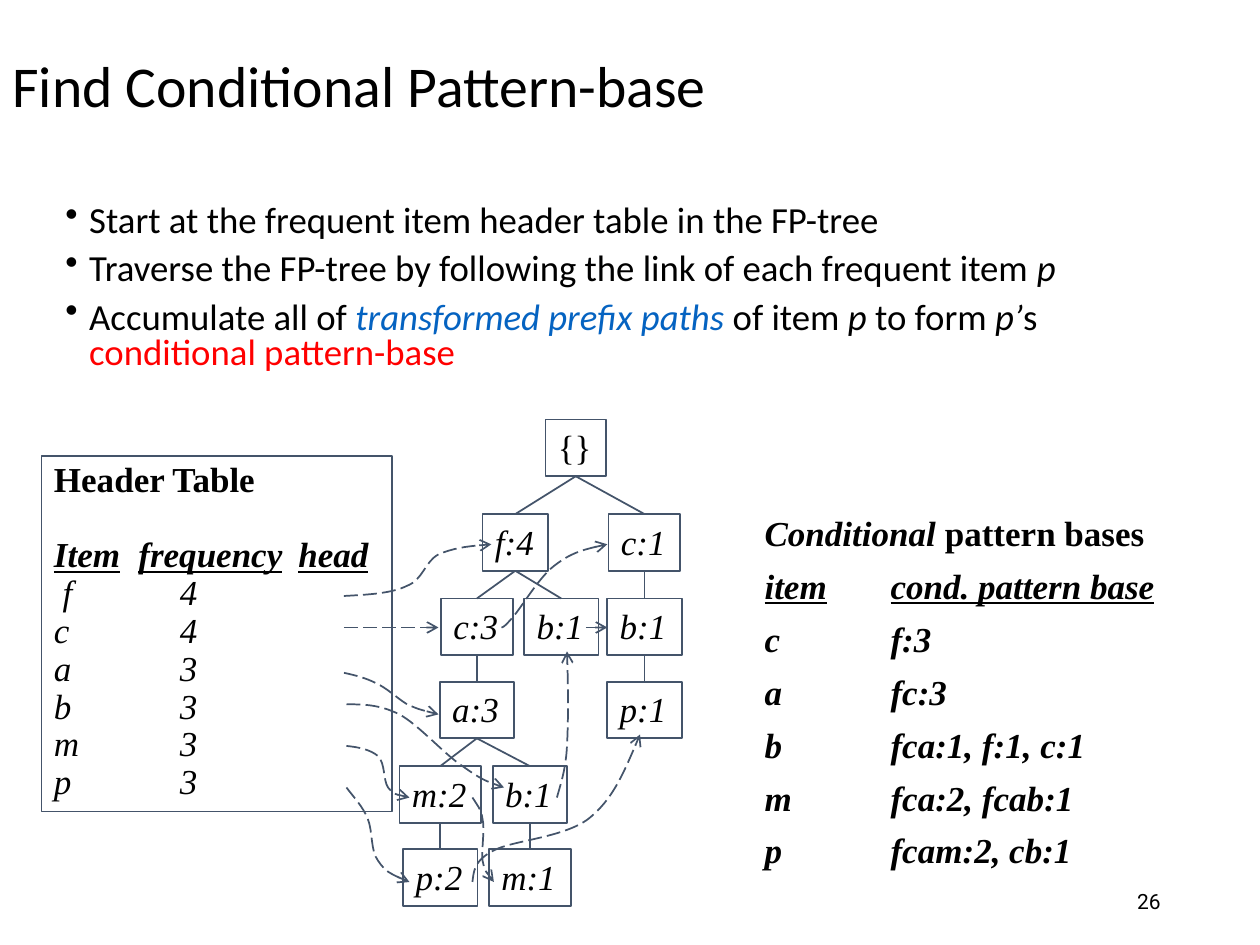
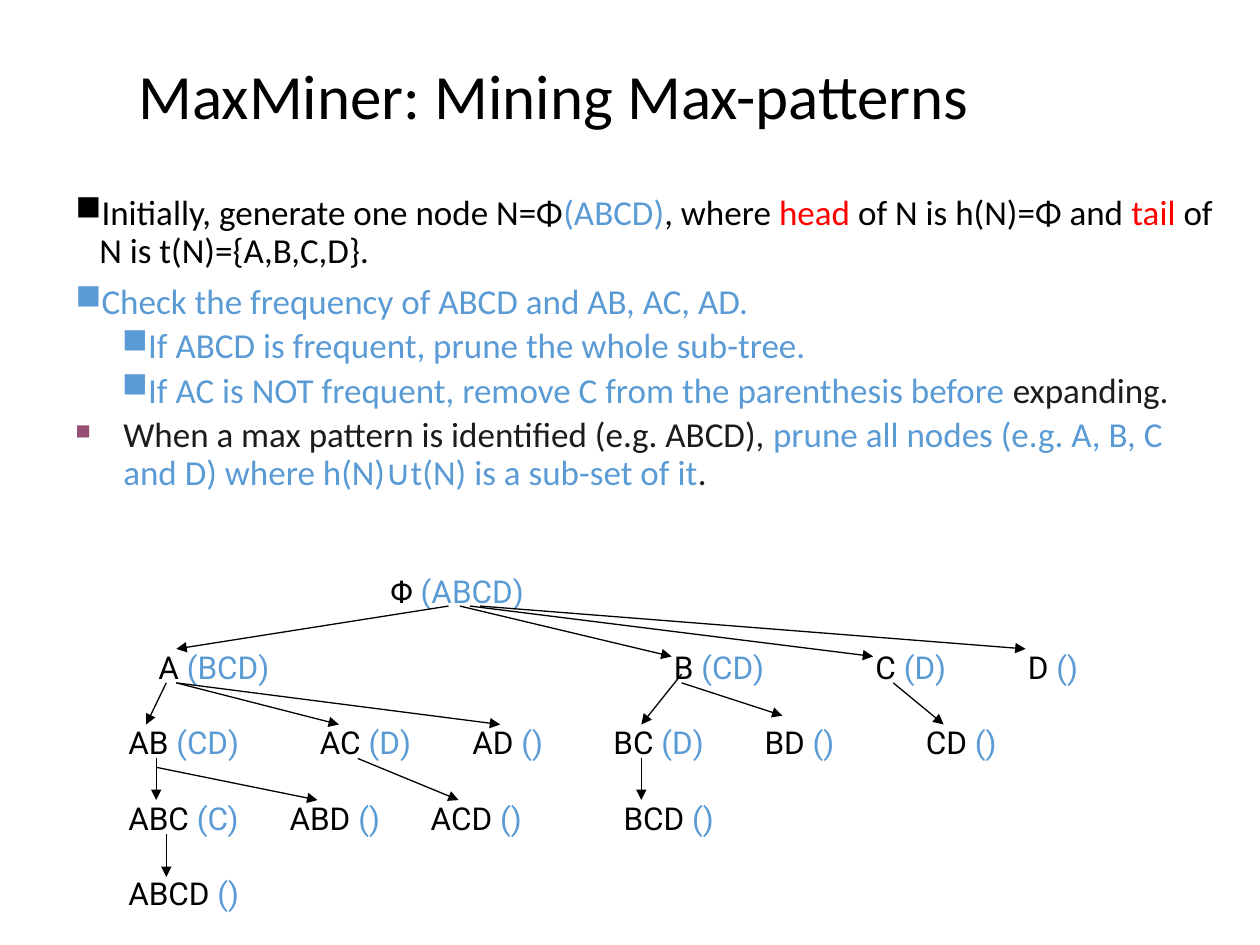
"""Build two slides on pattern mining: an FP-tree and a MaxMiner tree."""
from dataclasses import dataclass
from typing import Optional

from pptx import Presentation
from pptx.dml.color import RGBColor
from pptx.enum.dml import MSO_LINE
from pptx.enum.shapes import MSO_CONNECTOR, MSO_SHAPE
from pptx.enum.text import MSO_ANCHOR, PP_ALIGN
from pptx.oxml.ns import qn
from pptx.oxml.xmlchemy import OxmlElement
from pptx.util import Cm, Pt

BLACK = RGBColor(0x00, 0x00, 0x00)
CHAR = RGBColor(0x1C, 0x1C, 0x1C)
SLATE = RGBColor(0x44, 0x54, 0x6A)
BLUE = RGBColor(0x05, 0x63, 0xC1)
SKY = RGBColor(0x5B, 0x9B, 0xD5)
RED = RGBColor(0xFF, 0x00, 0x00)
PLUM = RGBColor(0x95, 0x4F, 0x72)
SANS, SERIF, LABEL = "Calibri", "Times New Roman", "Roboto"


@dataclass
class Bit:
    text: str
    tint: RGBColor = BLACK
    style: str = ""


@dataclass
class Para:
    bits: list[Bit]
    lead: float = 1.0
    before: float = 0
    mark: str = ""
    left: float = 0.19
    hang: float = 0.19
    hue: Optional[RGBColor] = None
    tabs: tuple = ()
    align: PP_ALIGN = PP_ALIGN.LEFT


@dataclass
class Node:
    text: str
    left: float
    tier: int
    root: Optional[int] = None


def grid(value: float) -> Cm:
    return Cm(value * 2.54)


def child(parent, tag: str, **attrs: str):
    item = OxmlElement(tag)
    for key, value in attrs.items():
        item.set(key, value)
    parent.append(item)
    return item


def layout(par, para: Para) -> None:
    par.alignment = para.align
    par.line_spacing = para.lead
    par.space_before = Pt(para.before)
    props = par._p.get_or_add_pPr()
    if para.mark:
        props.set("marL", str(grid(para.left)))
        props.set("indent", str(-grid(para.hang)))
        if para.hue:
            child(child(props, "a:buClr"), "a:srgbClr", val=str(para.hue))
            child(props, "a:buSzPct", val="60000")
        child(props, "a:buChar", char=para.mark)
    if para.tabs:
        stops = child(props, "a:tabLst")
        for stop in para.tabs:
            child(stops, "a:tab", pos=str(grid(stop)), algn="l")


def write(frame, paras: list[Para], font: str, size: float, wrap: bool = True,
          anchor: MSO_ANCHOR = MSO_ANCHOR.TOP) -> None:
    frame.word_wrap = wrap
    frame.vertical_anchor = anchor
    frame.text = "\n".join(para.bits[0].text for para in paras)
    for par, para in zip(frame.paragraphs, paras):
        for bit in para.bits[1:]:
            par.add_run().text = bit.text
        layout(par, para)
        for run, bit in zip(par.runs, para.bits):
            run.font.name, run.font.size = font, Pt(size)
            run.font.color.rgb = bit.tint
            run.font.bold = "b" in bit.style
            run.font.italic = "i" in bit.style
            run.font.underline = "u" in bit.style


def add_text(slide, box: tuple, paras: list[Para], font: str, size: float,
             wrap: bool = True, anchor: MSO_ANCHOR = MSO_ANCHOR.TOP) -> None:
    shape = slide.shapes.add_textbox(*map(grid, box))
    write(shape.text_frame, paras, font, size, wrap, anchor)


def add_title(slide, box: tuple, text: str, size: float) -> None:
    add_text(slide, box, [Para([Bit(text)], 0.9)], SANS, size,
             anchor=MSO_ANCHOR.MIDDLE)


def add_box(slide, box: tuple, paras: list[Para], wrap: bool) -> None:
    shape = slide.shapes.add_shape(MSO_SHAPE.RECTANGLE, *map(grid, box))
    shape.shadow.inherit = False
    shape.fill.background()
    stroke(shape.line, SLATE, 1)
    write(shape.text_frame, paras, SERIF, 20, wrap)


def stroke(line, tint: RGBColor, width: float, head: str = "",
           dash: bool = False) -> None:
    line.color.rgb = tint
    line.width = Pt(width)
    if dash:
        line.dash_style = MSO_LINE.LONG_DASH
    if head:
        child(line._get_or_add_ln(), "a:tailEnd", type=head)


def add_line(slide, ends: tuple, tint: RGBColor, width: float, head: str = "",
             dash: bool = False) -> None:
    link = slide.shapes.add_connector(MSO_CONNECTOR.STRAIGHT, *map(grid, ends))
    stroke(link.line, tint, width, head, dash)
    child(link.element.spPr, "a:effectLst")


def add_curve(slide, points: list[tuple]) -> None:
    spots = [(grid(x), grid(y)) for x, y in points]
    pen = slide.shapes.build_freeform(*spots[0])
    pen.add_line_segments(spots[1:], close=False)
    shape = pen.convert_to_shape()
    steps = shape.element.findall(".//" + qn("a:lnTo"))
    for start in range(0, len(steps), 3):
        bend = OxmlElement("a:cubicBezTo")
        steps[start].addprevious(bend)
        for step in steps[start:start + 3]:
            bend.append(step[0])
            step.getparent().remove(step)
    shape.shadow.inherit = False
    shape.fill.background()
    stroke(shape.line, SLATE, 1, "arrow", True)


TIERS = (3.33, 4.08, 4.75, 5.41, 6.08, 6.74)
WIDTHS = {"{": 0.48, "f": 0.52, "c": 0.57, "m": 0.65}
TALL = 0.45
NODES = [
    Node("{}", 4.33, 0), Node("f:4", 3.83, 1, 0), Node("c:1", 4.83, 1, 0),
    Node("c:3", 3.5, 2, 1), Node("b:1", 4.16, 2, 1), Node("b:1", 4.82, 2, 2),
    Node("a:3", 3.49, 3, 3), Node("p:1", 4.82, 3, 5), Node("m:2", 3.17, 4, 6),
    Node("b:1", 3.91, 4, 6), Node("p:2", 3.2, 5, 8), Node("m:1", 3.88, 5, 9),
]
CURVES = [
    [(2.73, 4.73), (2.92, 4.72), (3.11, 4.71), (3.23, 4.65), (3.36, 4.6),
     (3.37, 4.46), (3.48, 4.4), (3.6, 4.35), (3.75, 4.33), (3.9, 4.32)],
    [(3.98, 4.98), (3.99, 4.98), (4, 4.98), (4.07, 4.9), (4.14, 4.82),
     (4.28, 4.58), (4.4, 4.49), (4.53, 4.39), (4.67, 4.35), (4.82, 4.32)],
    [(2.73, 5.34), (2.82, 5.36), (2.9, 5.38), (2.98, 5.42), (3.07, 5.46),
     (3.15, 5.54), (3.23, 5.59), (3.32, 5.63), (3.4, 5.65), (3.48, 5.67)],
    [(2.75, 5.59), (2.88, 5.59), (3.01, 5.59), (3.17, 5.67), (3.32, 5.75),
     (3.53, 5.99), (3.67, 6.08), (3.81, 6.18), (3.9, 6.22), (4, 6.25)],
    [(4.42, 6.33), (4.45, 6.22), (4.49, 6.11), (4.5, 5.92), (4.51, 5.72),
     (4.51, 5.45), (4.5, 5.17)],
    [(2.75, 5.92), (2.85, 5.93), (2.94, 5.95), (3, 6), (3.06, 6.06),
     (3.04, 6.19), (3.08, 6.25), (3.13, 6.31), (3.19, 6.32), (3.25, 6.33)],
    [(3.75, 6.33), (3.78, 6.38), (3.82, 6.42), (3.83, 6.5), (3.85, 6.58),
     (3.82, 6.75), (3.83, 6.83), (3.85, 6.92), (3.88, 6.96), (3.92, 7)],
    [(2.75, 6.25), (2.81, 6.33), (2.88, 6.4), (2.92, 6.5), (2.96, 6.6),
     (2.94, 6.75), (3, 6.83), (3.06, 6.92), (3.15, 6.96), (3.25, 7)],
    [(3.75, 7), (3.76, 6.92), (3.76, 6.83), (3.92, 6.75), (4.07, 6.67),
     (4.47, 6.65), (4.67, 6.5), (4.86, 6.35), (4.97, 6.09), (5.08, 5.83)],
]
STEPS = [
    [Bit("Start at the frequent item header table in the FP-tree")],
    [Bit("Traverse the FP-tree by following the link of each frequent item "),
     Bit("p", style="i")],
    [Bit("Accumulate all of "), Bit("transformed prefix paths", BLUE, "i"),
     Bit(" of item "), Bit("p ", style="i"), Bit("to form "),
     Bit("p’", style="i"), Bit("s "), Bit("conditional pattern-base", RED)],
]
COUNTS = [" f\t4", "c\t4", "a\t3", "b\t3", "m\t3", "p\t3"]
BASES = ["c\tf:3", "a\tfc:3", "b\tfca:1, f:1, c:1", "m\tfca:2, fcab:1",
         "p\tfcam:2, cb:1"]


def draw_base(slide) -> None:
    add_title(slide, (0, 0.33, 10, 0.75), "Find Conditional Pattern-base", 33)
    add_text(slide, (0.42, 1.58, 9.17, 1.67),
             [Para(bits, 0.8, 7.5, "•") for bits in STEPS], SANS, 21)
    add_text(slide, (7.06, 6.95, 2.25, 0.4),
             [Para([Bit("26")], align=PP_ALIGN.RIGHT)], LABEL, 12,
             anchor=MSO_ANCHOR.MIDDLE)
    heads = [Para([Bit("Conditional ", style="bi"),
                   Bit("pattern bases", style="b")], 1, 11),
             Para([Bit("item\tcond. pattern base", style="biu")], 0.8, 11,
                  tabs=(1,))]
    rows = [Para([Bit(text, style="bi")], 0.8, 11, tabs=(1,))
            for text in BASES]
    add_text(slide, (5.97, 4.01, 3.64, 3.04), heads + rows, SERIF, 20)
    for node in NODES:
        width = WIDTHS.get(node.text[0], 0.59)
        style = "i" if node.tier else ""
        add_box(slide, (node.left, TIERS[node.tier], width, TALL),
                [Para([Bit(node.text, style=style)])], False)
        if node.root is not None:
            root = NODES[node.root]
            span = WIDTHS.get(root.text[0], 0.59)
            add_line(slide, (root.left + span / 2, TIERS[root.tier] + TALL,
                             node.left + width / 2, TIERS[node.tier]), SLATE, 1)
    heads = [Para([Bit("Header Table", style="b")], 0.9),
             Para([Bit("Item\tfrequency\thead", style="biu")], 0.9, 21.5,
                  tabs=(0.67, 1.94))]
    rows = [Para([Bit(text, style="i")], 0.9, tabs=(1,)) for text in COUNTS]
    add_box(slide, (0.33, 3.62, 2.78, 2.82), heads + rows, True)
    for points in CURVES:
        add_curve(slide, points)
    for left, right in ((2.73, 3.48), (4.65, 4.82)):
        add_line(slide, (left, 4.98, right, 4.98), SLATE, 1, "arrow", True)


RULES = [
    Para([Bit("Initially, generate one node N=Φ"), Bit("(ABCD)", SKY),
          Bit(", where "), Bit("head", RED), Bit(" of N is h(N)=Φ and "),
          Bit("tail", RED), Bit(" of N is t(N)={A,B,C,D}.")], 0.9, 7.5, "■"),
    Para([Bit("Check the frequency of ABCD and AB, AC, AD.", SKY)],
         0.9, 7.5, "■"),
    Para([Bit("If ABCD is frequent, prune the whole sub-tree.", SKY)],
         0.9, 3.8, "■", 0.56),
    Para([Bit("If AC is NOT frequent, remove C from the parenthesis before ",
              SKY), Bit("expanding.", CHAR)], 0.9, 3.8, "■", 0.56),
    Para([Bit("When a max pattern is identified (e.g. ABCD), ", CHAR),
          Bit("prune all nodes (e.g. A, B, C and D) where h(N)∪t(N) "
              "is a sub-set of it", SKY), Bit(".", CHAR)],
         0.9, 3.8, "■", 0.38, 0.38, PLUM),
]
LEVELS = [
    [("Φ", "ABCD", 3)],
    [("A", "BCD", 1.16), ("B", "CD", 5.25), ("C", "D", 6.85), ("D", "", 8.06)],
    [("AB", "CD", 0.92), ("AC", "D", 2.44), ("AD", "", 3.65),
     ("BC", "D", 4.77), ("BD", "", 5.97), ("CD", "", 7.25)],
    [("ABC", "C", 0.92), ("ABD", "", 2.2), ("ACD", "", 3.32),
     ("BCD", "", 4.85)],
    [("ABCD", "", 0.92)],
]
WIDE = {1: 0.65, 2: 0.8, 3: 0.95, 4: 1.1, 5: 1.34}
LINKS = [
    (3.56, 4.81, 1.4, 5.15), (3.65, 4.81, 5.33, 5.21),
    (3.73, 4.81, 6.93, 5.21), (3.81, 4.81, 8.14, 5.15),
    (1.32, 5.42, 1.16, 5.75), (1.4, 5.42, 2.69, 5.75),
    (1.4, 5.42, 3.97, 5.75), (5.41, 5.35, 5.09, 5.75),
    (5.41, 5.42, 6.21, 5.68), (7.09, 5.42, 7.49, 5.75),
    (1.24, 6.02, 1.24, 6.35), (1.24, 6.09, 2.52, 6.35),
    (2.84, 6.02, 3.64, 6.35), (5.09, 6.02, 5.09, 6.35),
    (1.32, 6.62, 1.32, 6.96),
]


def draw_max(slide) -> None:
    add_title(slide, (1, 0.5, 8.75, 0.58), "MaxMiner: Mining Max-patterns", 36)
    add_text(slide, (0.5, 1.5, 9.25, 3.08), RULES, SANS, 20)
    for row, level in enumerate(LEVELS):
        for head, tail, left in level:
            width = WIDE[len(head + tail)]
            add_text(slide, (left, 4.49 + 0.6 * row, width, 0.42),
                     [Para([Bit(head + " "), Bit(f"({tail})", SKY)])],
                     LABEL, 18, False)
    for ends in LINKS:
        add_line(slide, ends, BLACK, 0.75, "triangle")


def main() -> None:
    deck = Presentation()
    deck.slide_width, deck.slide_height = Cm(25.4), Cm(19.05)
    for draw in (draw_base, draw_max):
        draw(deck.slides.add_slide(deck.slide_layouts[6]))
    deck.save("out.pptx")


main()
